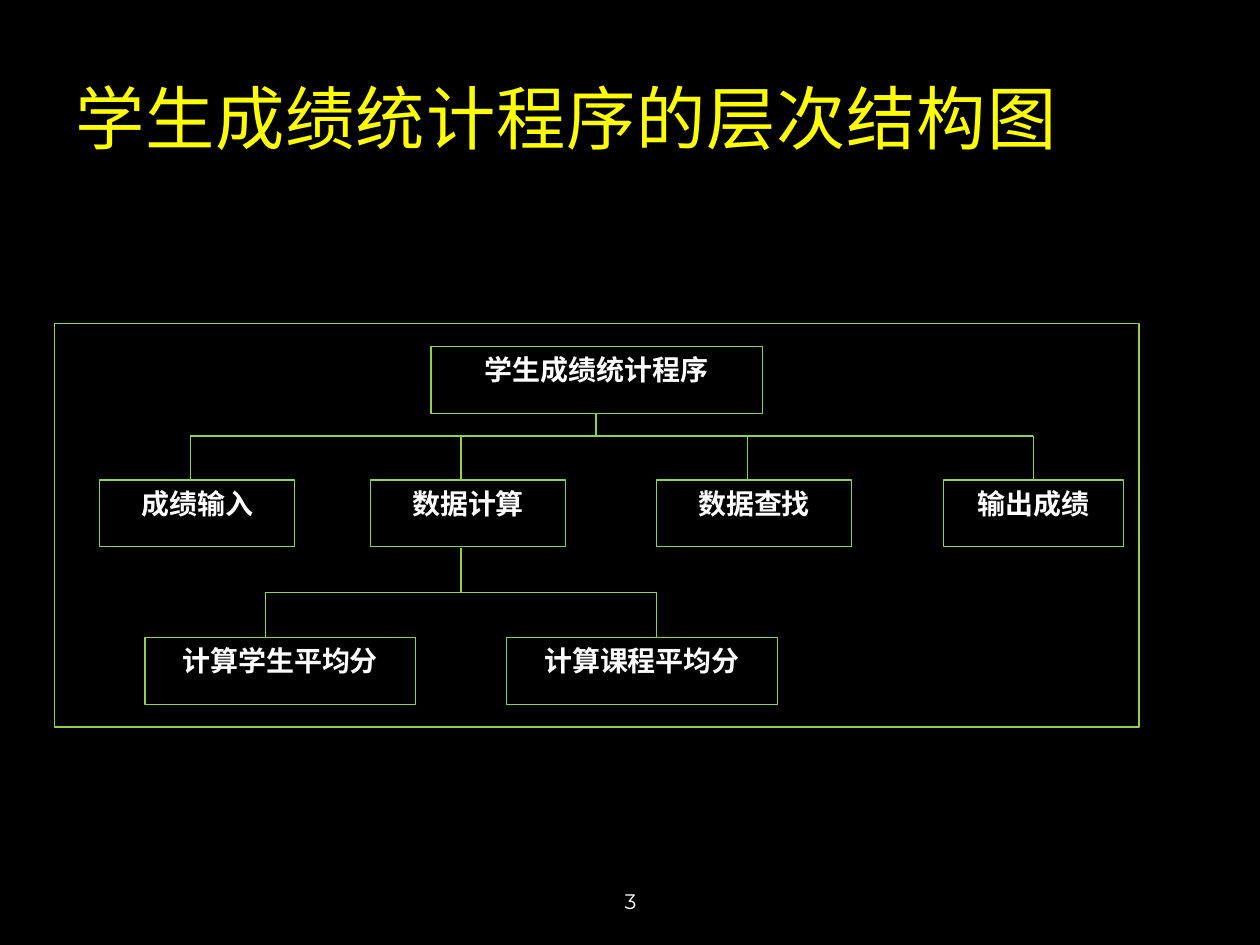
from dataclasses import dataclass

from pptx import Presentation
from pptx.dml.color import RGBColor
from pptx.enum.shapes import MSO_CONNECTOR as Connector, MSO_SHAPE as Shape
from pptx.enum.text import MSO_ANCHOR as Anchor, PP_ALIGN as Align
from pptx.oxml.ns import qn
from pptx.util import Inches, Pt

GREEN, WHITE, YELLOW, BLACK = "92D050", "FFFFFF", "FFFF00", "000000"
BOX_HEIGHT = 0.53


@dataclass
class Box:
    text: str
    left: float
    width: float
    drop: float  # x of the line that enters the box from above


@dataclass
class Level:
    stem_x: float
    stem_top: float
    bar_y: float
    box_top: float
    boxes: list[Box]


LEVELS = [
    Level(4.73, 3.28, 3.46, 3.81, [
        Box("成绩输入", 0.79, 1.55, 1.51),
        Box("数据计算", 2.94, 1.55, 3.66),
        Box("数据查找", 5.21, 1.55, 5.93),
        Box("输出成绩", 7.49, 1.43, 8.2),
    ]),
    Level(3.66, 4.35, 4.7, 5.06, [
        Box("计算学生平均分", 1.15, 2.15, 2.11),
        Box("计算课程平均分", 4.02, 2.15, 5.21),
    ]),
]


def color(value: str) -> RGBColor:
    return RGBColor.from_string(value)


def write(shape, text: str, size: float, font: str, value: str,
          align: Align, anchor: Anchor, bold: bool = False) -> None:
    frame = shape.text_frame
    frame.word_wrap = True
    frame.vertical_anchor = anchor
    paragraph = frame.paragraphs[0]
    paragraph.text = text
    paragraph.alignment = align
    paragraph.font.size = Pt(size)
    paragraph.font.name = font
    paragraph.font.bold = bold
    paragraph.font.color.rgb = color(value)


def add_box(left: float, top: float, width: float, height: float, text: str = "") -> None:
    shape = slide.shapes.add_shape(
        Shape.RECTANGLE, Inches(left), Inches(top), Inches(width), Inches(height))
    shape.shadow.inherit = False
    shape.fill.background()
    shape.line.color.rgb = color(GREEN)
    shape.line.width = Pt(0.75)
    if text:
        write(shape, text, 16, "Times New Roman", WHITE, Align.CENTER, Anchor.TOP, bold=True)


def add_line(x1: float, y1: float, x2: float, y2: float) -> None:
    line = slide.shapes.add_connector(
        Connector.STRAIGHT, Inches(x1), Inches(y1), Inches(x2), Inches(y2))
    line.line.color.rgb = color(GREEN)
    line.line.width = Pt(0.75)
    properties = line._element.spPr
    properties.append(properties.makeelement(qn("a:effectLst"), {}))


def add_text(left: float, top: float, width: float, height: float,
             text: str, size: float, font: str, value: str, align: Align):
    shape = slide.shapes.add_textbox(
        Inches(left), Inches(top), Inches(width), Inches(height))
    write(shape, text, size, font, value, align, Anchor.MIDDLE)
    return shape


presentation = Presentation()
presentation.slide_width, presentation.slide_height = Inches(10), Inches(7.5)
slide = presentation.slides.add_slide(presentation.slide_layouts[6])
slide.background.fill.solid()
slide.background.fill.fore_color.rgb = color(BLACK)

# Frame and root of the tree
add_box(0.43, 2.57, 8.61, 3.2)
add_box(3.42, 2.75, 2.63, BOX_HEIGHT, "学生成绩统计程序")

# Lower levels with their branches
for level in LEVELS:
    for box in level.boxes:
        add_box(box.left, level.box_top, box.width, BOX_HEIGHT, box.text)
        add_line(box.drop, level.bar_y, box.drop, level.box_top)
    add_line(level.boxes[0].drop, level.bar_y, level.boxes[-1].drop, level.bar_y)
    add_line(level.stem_x, level.stem_top, level.stem_x, level.bar_y)

# Title with slightly widened letter spacing, and page number
title = add_text(0.5, 0.3, 8.5, 1.25, "学生成绩统计程序的层次结构图",
                 39.6, "Lato", YELLOW, Align.LEFT)
title.text_frame.paragraphs[0].runs[0].font._element.set("spc", "50")
add_text(3.42, 6.95, 3.17, 0.4, "3", 12, "Montserrat", WHITE, Align.CENTER)

presentation.save("out.pptx")
